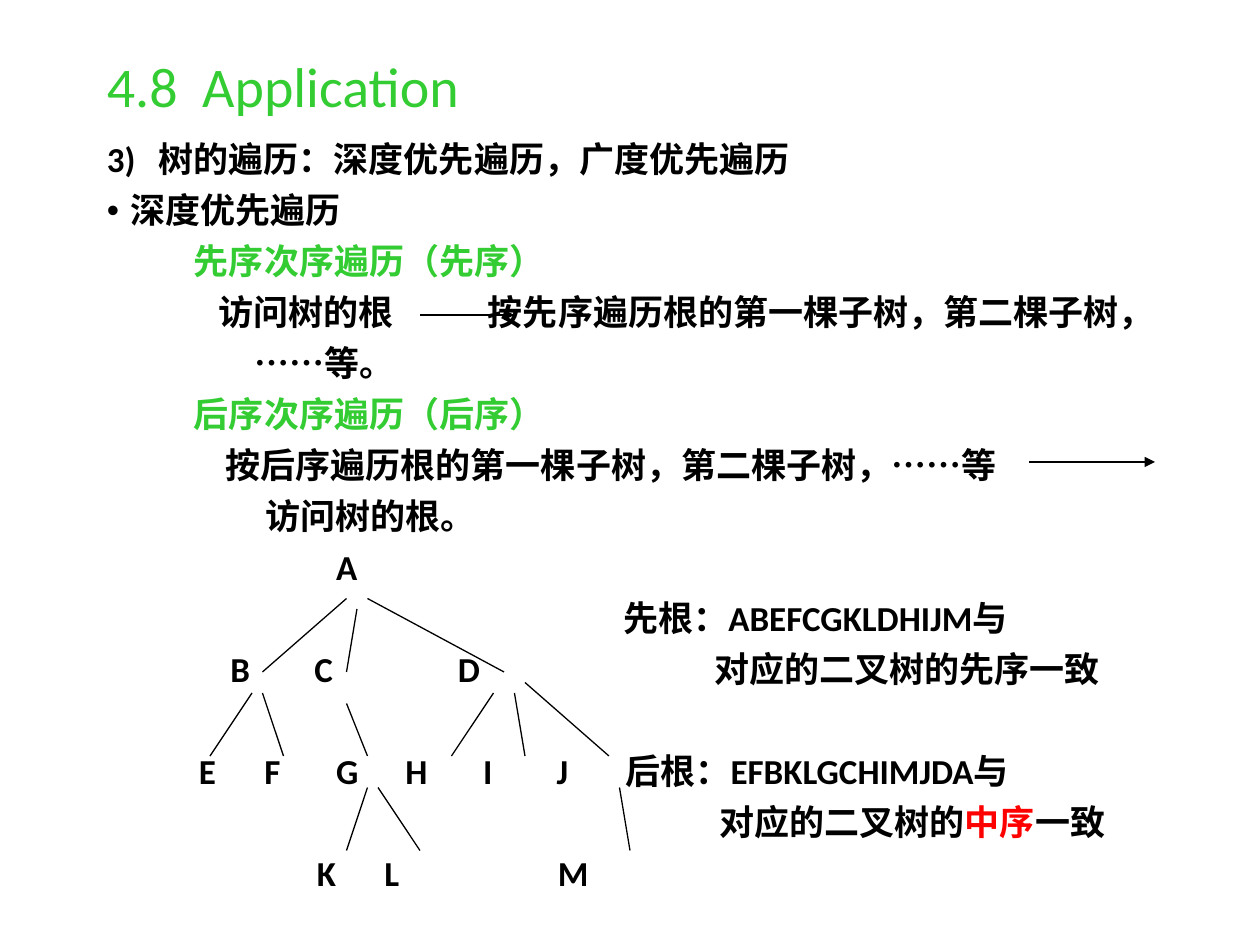
from dataclasses import dataclass

from lxml import etree
from pptx import Presentation
from pptx import util as u
from pptx.dml import color
from pptx.enum import shapes, text
from pptx.oxml import ns

COLORS = {"ink": "000000", "heading": "33CC33", "accent": "FF0000"}
FONT = "Calibri"
ROW_GAP = 7.5
SKIPPED_ROW = 29.2
BULLET_INDENT = 13.5


@dataclass(frozen=True)
class Span:
    text: str
    color: str = "ink"


@dataclass(frozen=True)
class Row:
    spans: tuple[Span, ...]
    stops: tuple[float, ...] = ()
    before: float = ROW_GAP
    bullet: bool = False


@dataclass(frozen=True)
class Line:
    x1: float
    y1: float
    x2: float
    y2: float
    arrow: bool = False


TITLE = Row((Span("4.8\tApplication", "heading"),), (54.5,), 0)

ROWS = (
    Row((Span("3)\t树的遍历：深度优先遍历，广度优先遍历"),), (29.5,), 0),
    Row((Span("深度优先遍历"),), bullet=True),
    Row((Span("\t先序次序遍历（先序）", "heading"),), (49.75,)),
    Row((Span("\t访问树的根\t按先序遍历根的第一棵子树，第二棵子树，"),), (63.5, 217.75)),
    Row((Span("\t……等。"),), (84.5,)),
    Row((Span("\t后序次序遍历（后序）", "heading"),), (49.75,)),
    Row((Span("\t按后序遍历根的第一棵子树，第二棵子树，……等"),), (67.75,)),
    Row((Span("\t访问树的根。"),), (90.5,)),
    Row((Span("\tA"),), (131,)),
    Row((Span("\t先根：ABEFCGKLDHIJM与"),), (295,)),
    Row((Span("\tB\tC\tD\t对应的二叉树的先序一致"),), (70.5, 118.5, 200.5, 347)),
    Row(
        (Span("\tE\tF\tG\tH\tI\tJ\t后根：EFBKLGCHIMJDA与"),),
        (52.5, 90, 131, 170.5, 215, 257, 296.25),
        ROW_GAP + SKIPPED_ROW,
    ),
    Row(
        (Span("\t对应的二叉树的"), Span("中序", "accent"), Span("一致")),
        (350,),
    ),
    Row((Span("\tK\tL\tM"),), (120, 158.5, 257.75)),
)

ARROWS = (
    Line(240, 180, 294, 180, True),
    Line(588, 264, 660, 264, True),
)

BRANCHES = (
    Line(198, 342, 150, 384),
    Line(204, 348, 198, 384),
    Line(210, 342, 288, 384),
    Line(144, 396, 120, 432),
    Line(150, 396, 162, 432),
    Line(198, 402, 210, 432),
    Line(282, 396, 258, 432),
    Line(294, 396, 300, 432),
    Line(300, 390, 348, 432),
    Line(210, 450, 198, 486),
    Line(216, 450, 240, 486),
    Line(354, 450, 360, 486),
)


def rgb(name: str) -> color.RGBColor:
    return color.RGBColor.from_string(COLORS[name])


def add_child(parent, tag: str, **attributes: str):
    return etree.SubElement(parent, ns.qn(tag), attributes)


def fill_paragraph(paragraph, row: Row, size: float, bold: bool) -> None:
    properties = paragraph._p.get_or_add_pPr()
    if row.bullet:
        properties.set("marL", str(u.Pt(BULLET_INDENT)))
        properties.set("indent", str(-u.Pt(BULLET_INDENT)))
        add_child(properties, "a:buFont", typeface="Arial")
        add_child(properties, "a:buChar", char="•")
    if row.stops:
        tabs = add_child(properties, "a:tabLst")
        for stop in row.stops:
            add_child(tabs, "a:tab", pos=str(u.Pt(stop)), algn="l")
    paragraph.line_spacing = 0.9
    paragraph.space_before = u.Pt(row.before)
    paragraph.text = row.spans[0].text
    for span in row.spans[1:]:
        paragraph.add_run().text = span.text
    for run, span in zip(paragraph.runs, row.spans):
        run.font.name = FONT
        run.font.size = u.Pt(size)
        run.font.bold = bold
        run.font.color.rgb = rgb(span.color)


def add_text(page, frame: tuple[float, ...], rows: tuple[Row, ...], size: float,
             bold: bool, anchor: text.MSO_ANCHOR) -> None:
    box = page.shapes.add_textbox(*(u.Pt(length) for length in frame))
    box.text_frame.word_wrap = True
    box.text_frame.vertical_anchor = anchor
    for index, row in enumerate(rows):
        paragraph = (box.text_frame.add_paragraph() if index
                     else box.text_frame.paragraphs[0])
        fill_paragraph(paragraph, row, size, bold)


def add_line(container, line: Line) -> None:
    connector = container.add_connector(
        shapes.MSO_CONNECTOR.STRAIGHT,
        u.Pt(line.x1), u.Pt(line.y1), u.Pt(line.x2), u.Pt(line.y2),
    )
    connector.line.color.rgb = rgb("ink")
    connector.line.width = u.Pt(0.75)
    if line.arrow:
        add_child(connector.line._get_or_add_ln(), "a:tailEnd", type="triangle")
    add_child(connector._element.spPr, "a:effectLst")


def main() -> None:
    deck = Presentation()
    deck.slide_width = u.Pt(720)
    deck.slide_height = u.Pt(540)
    page = deck.slides.add_slide(deck.slide_layouts[6])
    add_text(page, (54, 30, 612, 42), (TITLE,), 32, False, text.MSO_ANCHOR.MIDDLE)
    add_text(page, (54, 78, 636, 462), ROWS, 20, True, text.MSO_ANCHOR.TOP)
    for arrow in ARROWS:
        add_line(page.shapes, arrow)
    tree = page.shapes.add_group_shape()
    for branch in BRANCHES:
        add_line(tree.shapes, branch)
    deck.save("out.pptx")


if __name__ == "__main__":
    main()
